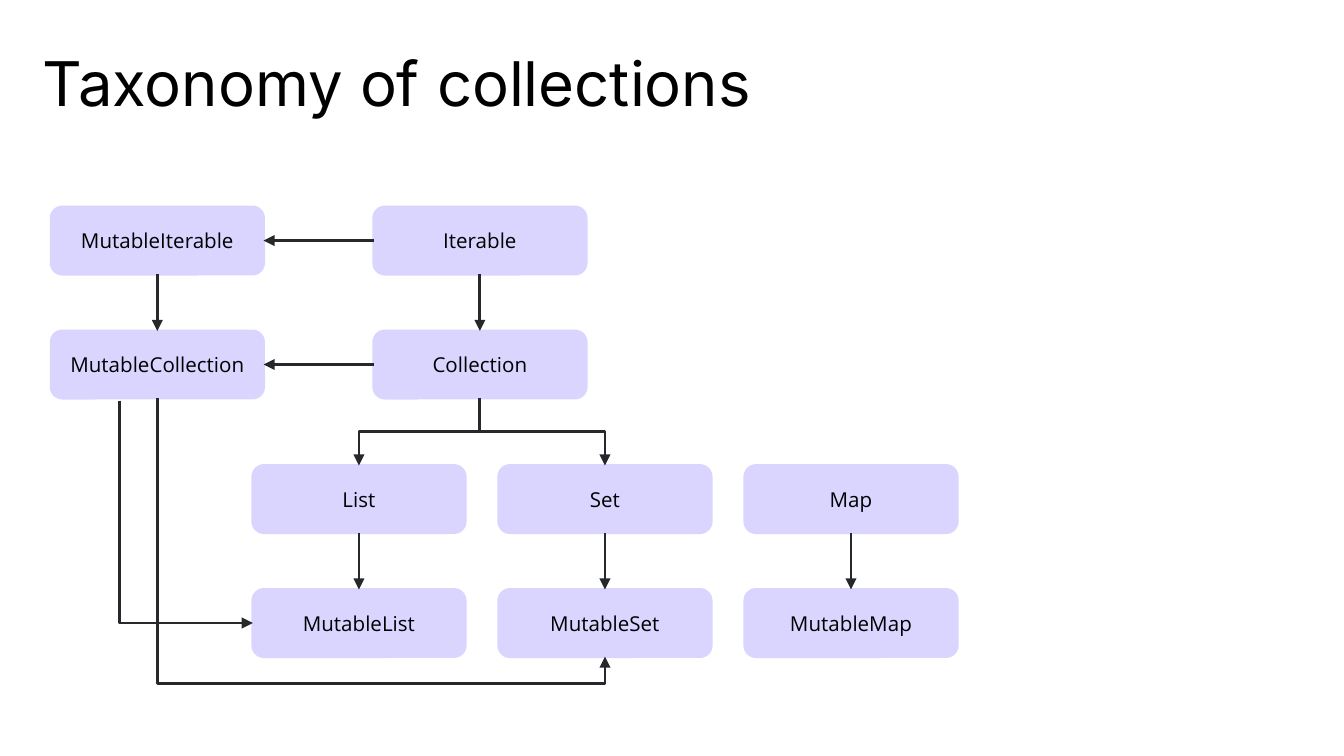
from lxml import etree
from pptx import Presentation
from pptx.dml.color import RGBColor
from pptx.enum.shapes import MSO_CONNECTOR, MSO_SHAPE
from pptx.enum.text import MSO_ANCHOR, MSO_AUTO_SIZE, PP_ALIGN
from pptx.oxml.ns import qn
from pptx.util import Pt

STRAIGHT, ELBOW = MSO_CONNECTOR.STRAIGHT, MSO_CONNECTOR.ELBOW
ROUNDED = MSO_SHAPE.ROUNDED_RECTANGLE
TOP, MIDDLE = MSO_ANCHOR.TOP, MSO_ANCHOR.MIDDLE
LEFT, CENTER = PP_ALIGN.LEFT, PP_ALIGN.CENTER
SIDE_TOP, SIDE_LEFT, SIDE_BOTTOM, SIDE_RIGHT = range(4)

TITLE = "Taxonomy of collections"
BLACK, LILAC, INK = "000000", "DAD5FF", "27282C"
BOX_W, BOX_H = 113.8, 36
GROUPS = [
    (27.4, 110.9, 172.8, 66.4, [
        ["MutableIterable", "Iterable"],
        ["MutableCollection", "Collection"],
    ]),
    (135.4, 249.4, 131.8, 66.4, [
        ["List", "Set", "Map"],
        ["MutableList", "MutableSet", "MutableMap"],
    ]),
]
DOWN = [
    ("MutableIterable", "MutableCollection"),
    ("Iterable", "Collection"),
    ("List", "MutableList"),
    ("Set", "MutableSet"),
    ("Map", "MutableMap"),
]
ACROSS = [("Iterable", "MutableIterable"), ("Collection", "MutableCollection")]
BRANCHES = [("Collection", "Set"), ("Collection", "List")]
SIDE_START_X, SIDE_START_GAP, DIP = 64.1, 1.4, 14.3


def color(value):
    return RGBColor.from_string(value)


def format_text(tf, size, font, align, anchor, side_inset):
    tf.word_wrap = True
    tf.auto_size = MSO_AUTO_SIZE.NONE
    tf.vertical_anchor = anchor
    tf.margin_left = tf.margin_right = Pt(side_inset)
    tf.margin_top = tf.margin_bottom = Pt(7.2)
    p = tf.paragraphs[0]
    p.alignment = align
    f = p.runs[0].font
    f.size, f.name, f.bold = Pt(size), font, False
    f.color.rgb = color(BLACK)


def add_box(s, text, x, y):
    sp = s.shapes.add_shape(ROUNDED, Pt(x), Pt(y), Pt(BOX_W), Pt(BOX_H))
    sp.adjustments[0] = 0.167
    sp.shadow.inherit = False
    sp.fill.solid()
    sp.fill.fore_color.rgb = color(LILAC)
    sp.line.color.rgb = color(LILAC)
    sp.line.width = Pt(1.5)
    sp.text_frame.text = text
    format_text(sp.text_frame, 11, "Open Sans", CENTER, MIDDLE, 7.2)
    return sp


def add_arrow(s, kind, x1, y1, x2, y2):
    cxn = s.shapes.add_connector(kind, x1, y1, x2, y2)
    cxn.line.color.rgb = color(INK)
    cxn.line.width = Pt(1.5)
    spPr = cxn._element.spPr
    etree.SubElement(spPr.find(qn("a:ln")), qn("a:tailEnd"), type="triangle")
    etree.SubElement(spPr, qn("a:effectLst"))
    return cxn


def join(s, start, start_side, end, end_side):
    cxn = add_arrow(s, STRAIGHT, 0, 0, 0, 0)
    cxn.begin_connect(start, start_side)
    cxn.end_connect(end, end_side)


def add_elbow(s, x1, y1, x2, y2, bend=None):
    w, h = y2 - y1, abs(x2 - x1)
    left, top = (x1 + x2 - w) // 2, (y1 + y2 - h) // 2
    cxn = add_arrow(s, ELBOW, left, top, left + w, top + h)
    spPr = cxn._element.spPr
    xfrm, geom = spPr.find(qn("a:xfrm")), spPr.find(qn("a:prstGeom"))
    if x2 > x1:
        xfrm.set("rot", "16200000")
        xfrm.set("flipH", "1")
    else:
        xfrm.set("rot", "5400000")
    if bend is None:
        geom.set("prst", "bentConnector2")
    else:
        etree.SubElement(geom.find(qn("a:avLst")), qn("a:gd"),
                         name="adj1", fmla=f"val {round(bend * 100000)}")


def mid_x(sp):
    return sp.left + sp.width // 2


def bottom(sp):
    return sp.top + sp.height


prs = Presentation()
prs.slide_width, prs.slide_height = Pt(720), Pt(405)
s = prs.slides.add_slide(prs.slide_layouts[5])

title = s.shapes.title
title.left, title.top, title.width, title.height = Pt(23), Pt(23), Pt(669.6), Pt(36)
title.text_frame.text = TITLE
title.text_frame.paragraphs[0].line_spacing = 0.85
format_text(title.text_frame, 33, "Inter", LEFT, TOP, 0)

boxes = {}
for x, y, dx, dy, rows in GROUPS:
    for i, row in enumerate(rows):
        for j, name in enumerate(row):
            boxes[name] = add_box(s, name, x + j * dx, y + i * dy)

for start, end in DOWN:
    join(s, boxes[start], SIDE_BOTTOM, boxes[end], SIDE_TOP)
for start, end in ACROSS:
    join(s, boxes[start], SIDE_LEFT, boxes[end], SIDE_RIGHT)
for start, end in BRANCHES:
    a, b = boxes[start], boxes[end]
    add_elbow(s, mid_x(a), bottom(a), mid_x(b), b.top, 0.5)

source = boxes["MutableCollection"]
target = boxes["MutableList"]
add_elbow(s, Pt(SIDE_START_X), bottom(source) + Pt(SIDE_START_GAP),
          target.left, target.top + target.height // 2)
target = boxes["MutableSet"]
drop = bottom(target) - bottom(source)
add_elbow(s, mid_x(source), bottom(source), mid_x(target), bottom(target),
          1 + Pt(DIP) / drop)

prs.save("out.pptx")
